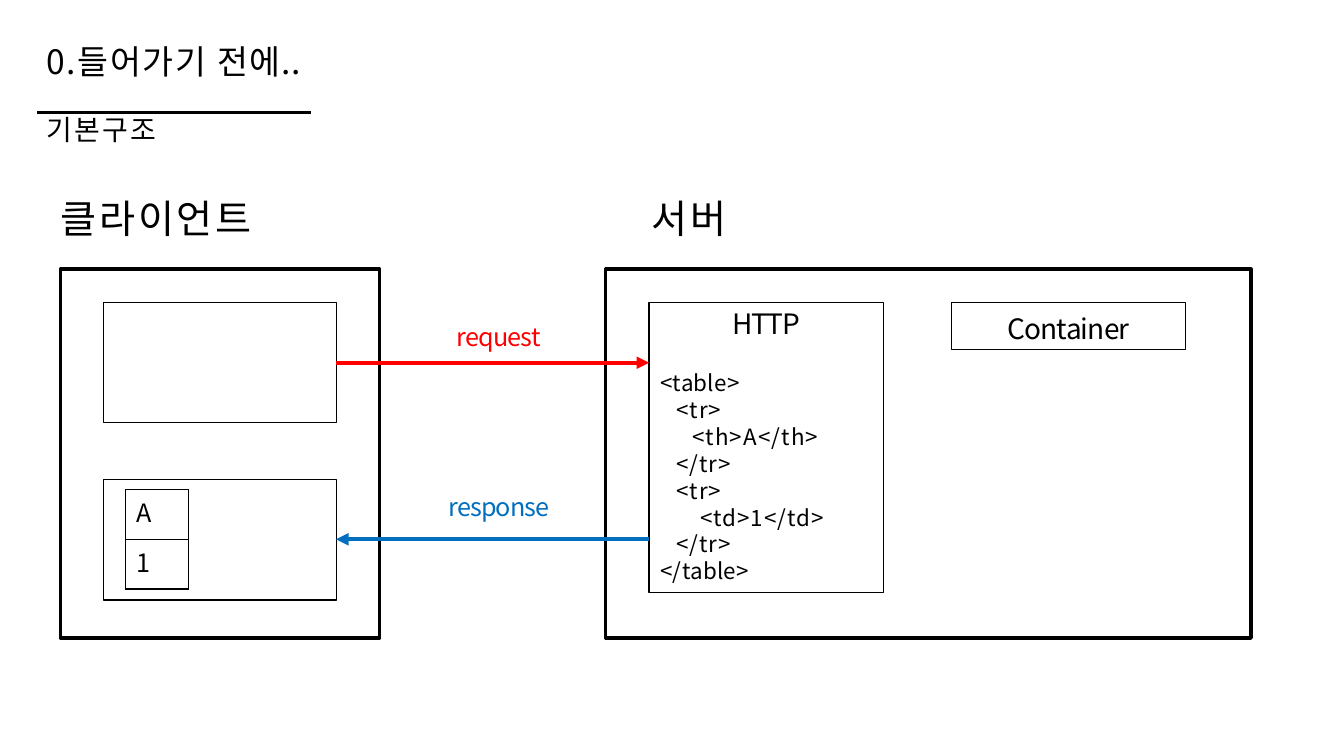
from collections import namedtuple
from dataclasses import dataclass

from lxml.etree import SubElement
from pptx import Presentation
from pptx.dml.color import RGBColor as RGB
from pptx.enum.shapes import MSO_CONNECTOR as CONN, MSO_SHAPE as SHAPE
from pptx.enum.text import MSO_ANCHOR as ANCHOR, MSO_AUTO_SIZE as AUTO, PP_ALIGN as ALIGN
from pptx.oxml.ns import qn
from pptx.util import Cm, Pt

Box = namedtuple("Box", "x y w h")


@dataclass(frozen=True)
class Theme:
    """Colours, fonts, type sizes and line widths."""
    ink: RGB = RGB(0, 0, 0)
    request: RGB = RGB(0xFF, 0, 0)
    response: RGB = RGB(0, 0x6F, 0xC0)
    font: str = "Noto Sans CJK KR"
    table_font: str = "Noto Sans CJK JP"
    heading: float = 28
    title: float = 24
    body: float = 20
    label: float = 18
    code: float = 16
    thin: float = 0.96
    thick: float = 2.28
    arrow: float = 3


T = Theme()
PAD = 1.09
TOP = 0.84
CODE = [("<table>", 0.28, 0.2), ("<tr>", 0.68, 0.8), ("<th>A</th>", 1.09, 0.8),
        ("</tr>", 0.68, 0.7), ("<tr>", 0.68, 0.8), ("<td>1</td>", 1.29, 0.7),
        ("</tr>", 0.68, 0.7), ("</table>", 0.28, 0.2)]


def inside(box, x, y, w, h):
    """Return a box offset from the corner of another box."""
    return Box(box.x + x, box.y + y, w, h)


def place(sp, box):
    """Move and size a shape."""
    sp.left, sp.top, sp.width, sp.height = map(Cm, box)


def add_run(p, text, size, color=T.ink, spacing=0, font=T.font):
    """Add one formatted run with letter spacing in points."""
    r = p.add_run()
    r.text = text
    r.font.size, r.font.name, r.font.color.rgb = Pt(size), font, color
    rpr = r._r.get_or_add_rPr()
    rpr.set("spc", str(round(spacing * 100)))
    SubElement(rpr, qn("a:ea")).set("typeface", font)


def set_frame(tf, top=0):
    """Prepare a text frame and return its first paragraph."""
    tf.word_wrap, tf.auto_size = True, AUTO.NONE
    tf.vertical_anchor = ANCHOR.TOP
    tf.margin_left = tf.margin_right = tf.margin_bottom = 0
    tf.margin_top = Cm(top)
    p = tf.paragraphs[0]
    p.alignment = ALIGN.LEFT
    return p


def add_text(s, box, text, size, color=T.ink, spacing=0):
    """Add a one-line text box."""
    sp = s.shapes.add_textbox(*map(Cm, box))
    add_run(set_frame(sp.text_frame), text, size, color, spacing)


def add_frame(s, box, width=T.thin):
    """Add an unfilled outlined rectangle."""
    sp = s.shapes.add_shape(SHAPE.RECTANGLE, *map(Cm, box))
    sp.shadow.inherit = False
    sp.fill.background()
    sp.line.color.rgb, sp.line.width = T.ink, Pt(width)
    return sp


def add_line(s, x1, x2, y, color, width, arrow=False):
    """Add a level line, with an arrowhead at its end if asked."""
    sp = s.shapes.add_connector(CONN.STRAIGHT, Cm(x1), Cm(y), Cm(x2), Cm(y))
    sp.line.color.rgb, sp.line.width = color, Pt(width)
    if arrow:
        SubElement(sp.line._get_or_add_ln(), qn("a:tailEnd")).set("type", "triangle")
    SubElement(sp._element.spPr, qn("a:effectLst"))


def add_header(s, box):
    """Place the title, its rule and the subtitle."""
    title = s.shapes.title
    place(title, inside(box, 0.23, 0, 8.23, 1.22))
    p = set_frame(title.text_frame)
    add_run(p, "0.들어가기 ", T.title, spacing=1.2)
    add_run(p, "전에..", T.title, spacing=0.7)
    add_line(s, box.x, box.x + box.w, box.y + 1.8, T.ink, T.thick)
    add_text(s, inside(box, 0.23, 1.8, 4.34, 1.07), "기본구조", T.body, spacing=1.6)


def add_node(s, box, name, indent):
    """Draw a thick frame with its heading above."""
    add_text(s, inside(box, indent, -1.88, 6.05, 1.5), name, T.heading, spacing=2.1)
    add_frame(s, box, T.thick)


def add_result_table(s, box, values):
    """Add the one-column table that the client renders."""
    gf = s.shapes.add_table(len(values), 1, *map(Cm, box))
    table = gf.table
    table.first_row = table.horz_banding = False
    for row, value in zip(table.rows, values):
        row.height = Cm(box.h / len(values))
        cell = row.cells[0]
        cell.margin_left, cell.margin_top = Cm(0.28), Cm(0.1)
        cell.margin_right = cell.margin_bottom = 0
        add_run(cell.text_frame.paragraphs[0], value, T.label, font=T.table_font)
        tcpr = cell._tc.get_or_add_tcPr()
        for side in ("lnL", "lnR", "lnT", "lnB"):
            ln = SubElement(tcpr, qn(f"a:{side}"), w=str(Pt(1)))
            fill = SubElement(ln, qn("a:solidFill"))
            SubElement(fill, qn("a:srgbClr"), val=str(T.ink))
        cell.fill.background()


def add_client(s, box):
    """Draw the client with an empty screen and a rendered one."""
    add_node(s, box, "클라이언트", 0)
    for y in (TOP, 5.31):
        add_frame(s, inside(box, PAD, y, box.w - 2 * PAD, 3.03))
    add_result_table(s, inside(box, 1.64, 5.56, 1.6, 2.5), ["A", "1"])


def add_server(s, box):
    """Draw the server with its HTTP response and container."""
    add_node(s, box, "서버", 1.14)
    tf = add_frame(s, inside(box, PAD, TOP, 5.9, 7.32)).text_frame
    p = set_frame(tf, 0.1)
    p.alignment = ALIGN.CENTER
    add_run(p, "HTTP", T.body, spacing=-0.9)
    for i, (text, indent, spacing) in enumerate(CODE):
        p = tf.add_paragraph()
        p.alignment, p.line_spacing = ALIGN.LEFT, Pt(19.2)
        p.space_before = Pt(0 if i else 21)
        p._p.get_or_add_pPr().set("marL", str(Cm(indent)))
        add_run(p, text, T.code, spacing=spacing)
    sp = add_frame(s, inside(box, 8.71, TOP, 5.9, 1.19))
    p = set_frame(sp.text_frame, 0.23)
    p.alignment = ALIGN.CENTER
    add_run(p, "Container", T.body, spacing=-0.6)


def add_messages(s, box):
    """Draw the request and response arrows across the gap."""
    right = box.x + box.w
    add_line(s, box.x, right, box.y, T.request, T.arrow, True)
    add_line(s, right, box.x, box.y + box.h, T.response, T.arrow, True)
    add_text(s, inside(box, 3.04, -1.04, 2.6, 0.9), "request", T.label, T.request, -0.6)
    add_text(s, inside(box, 2.83, box.h - 1.22, 3, 0.9), "response", T.label, T.response, -0.6)


def main():
    """Build and save the slide."""
    prs = Presentation()
    prs.slide_width, prs.slide_height = Cm(33.87), Cm(19.05)
    s = prs.slides.add_slide(prs.slide_layouts[5])
    add_header(s, Box(0.94, 1.04, 6.91, 2.87))
    add_client(s, Box(1.52, 6.78, 8.05, 9.3))
    add_server(s, Box(15.27, 6.78, 16.26, 9.3))
    add_messages(s, Box(8.47, 9.14, 7.89, 4.45))
    prs.save("out.pptx")


main()
